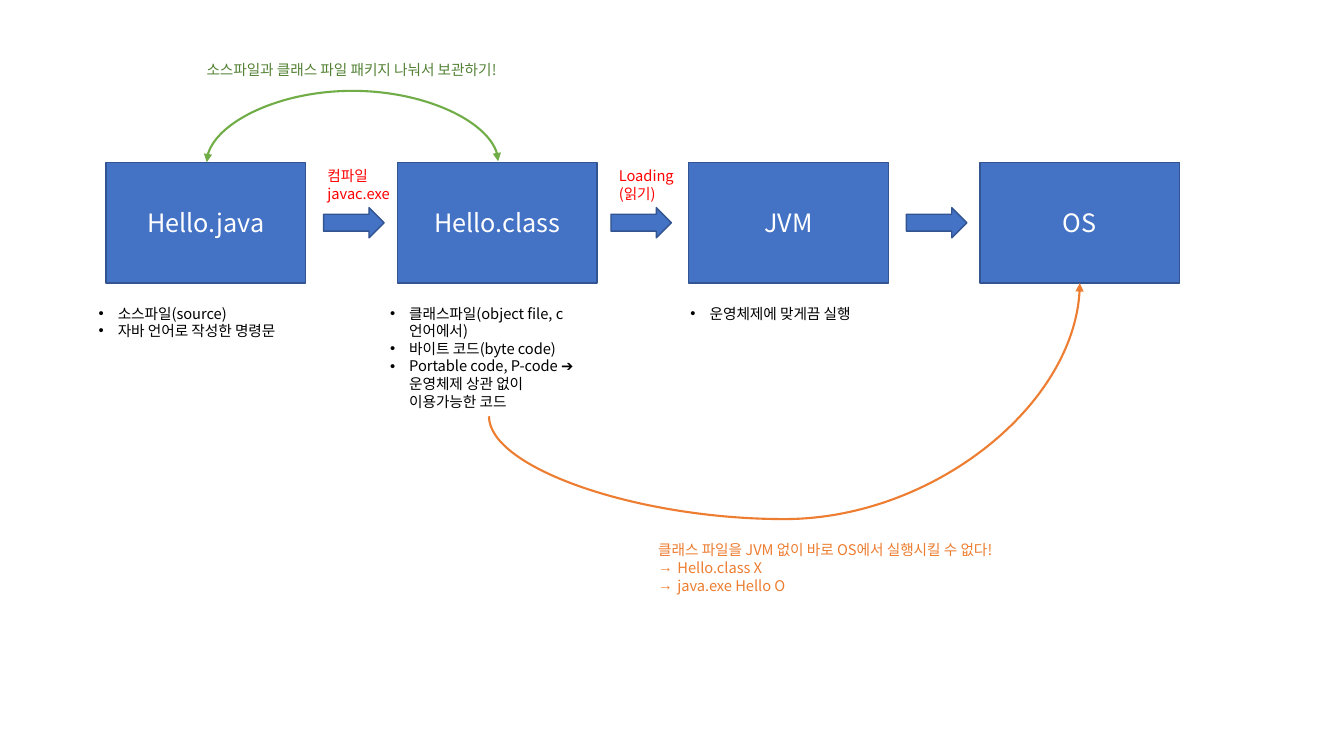
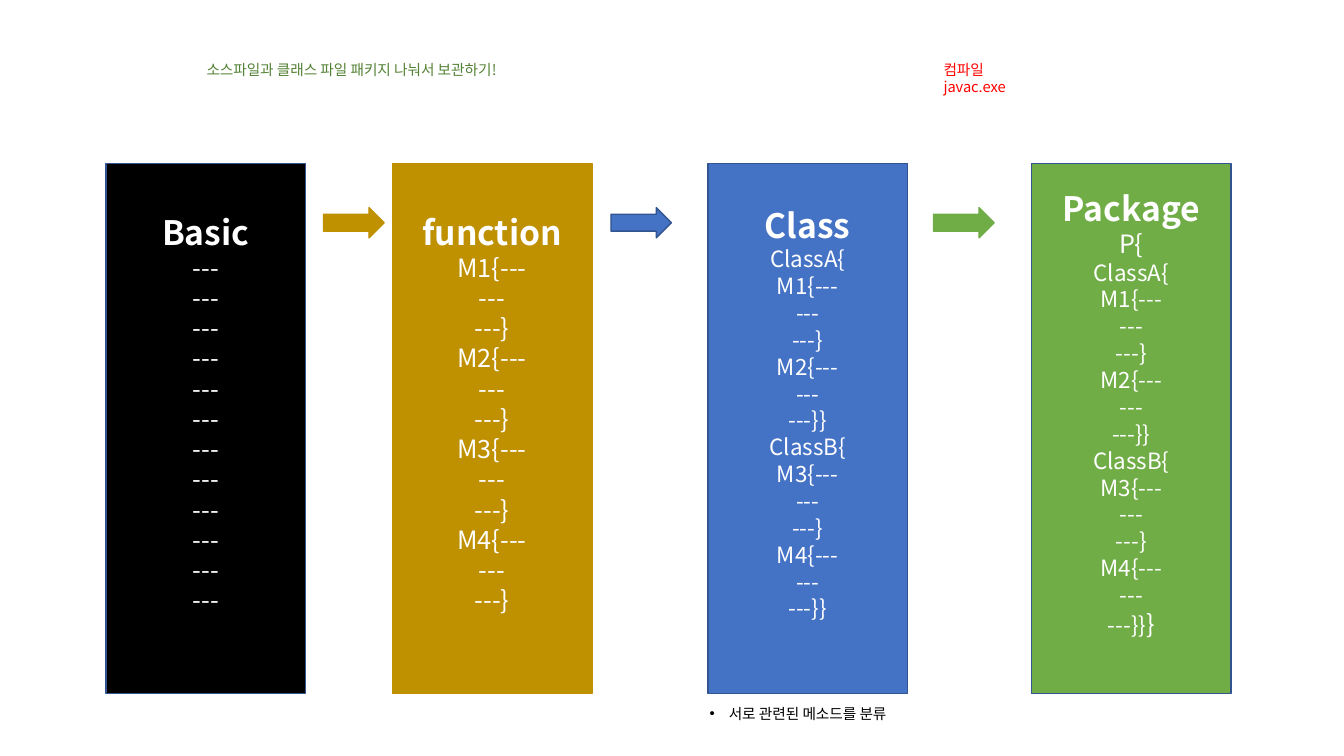
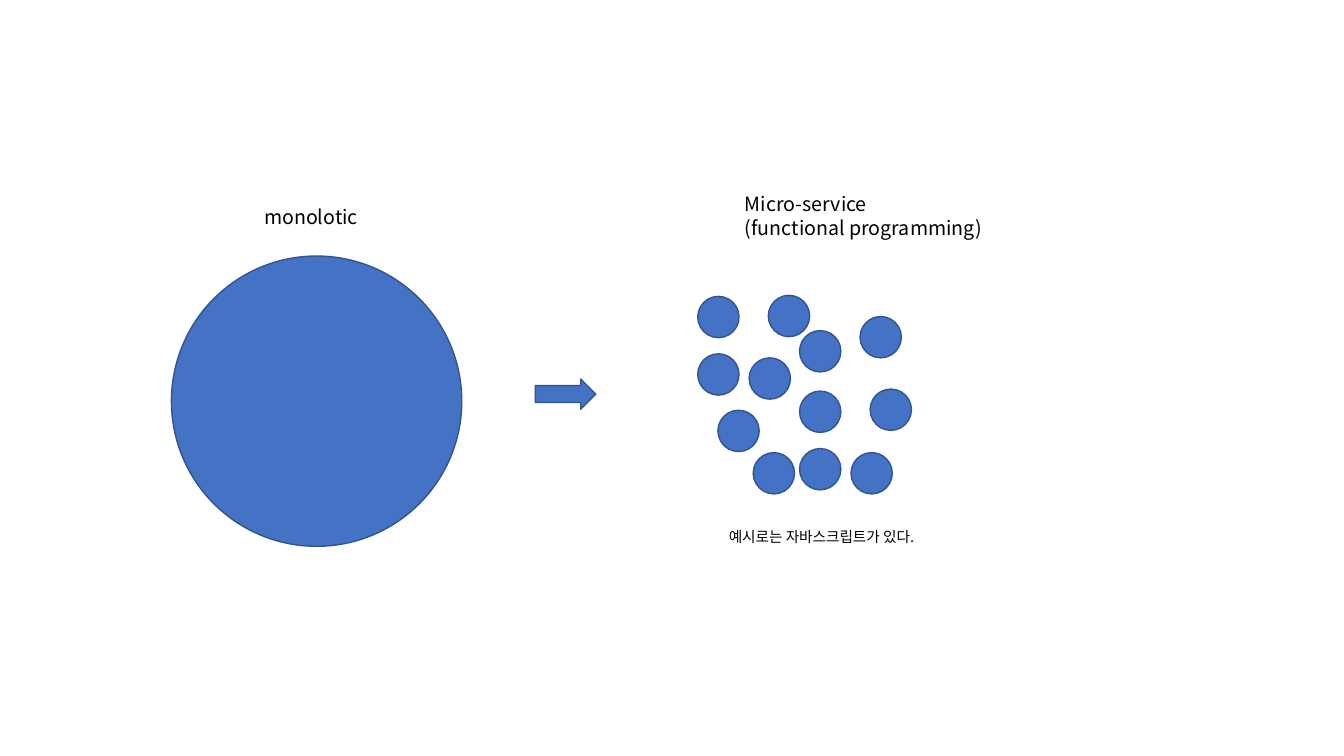
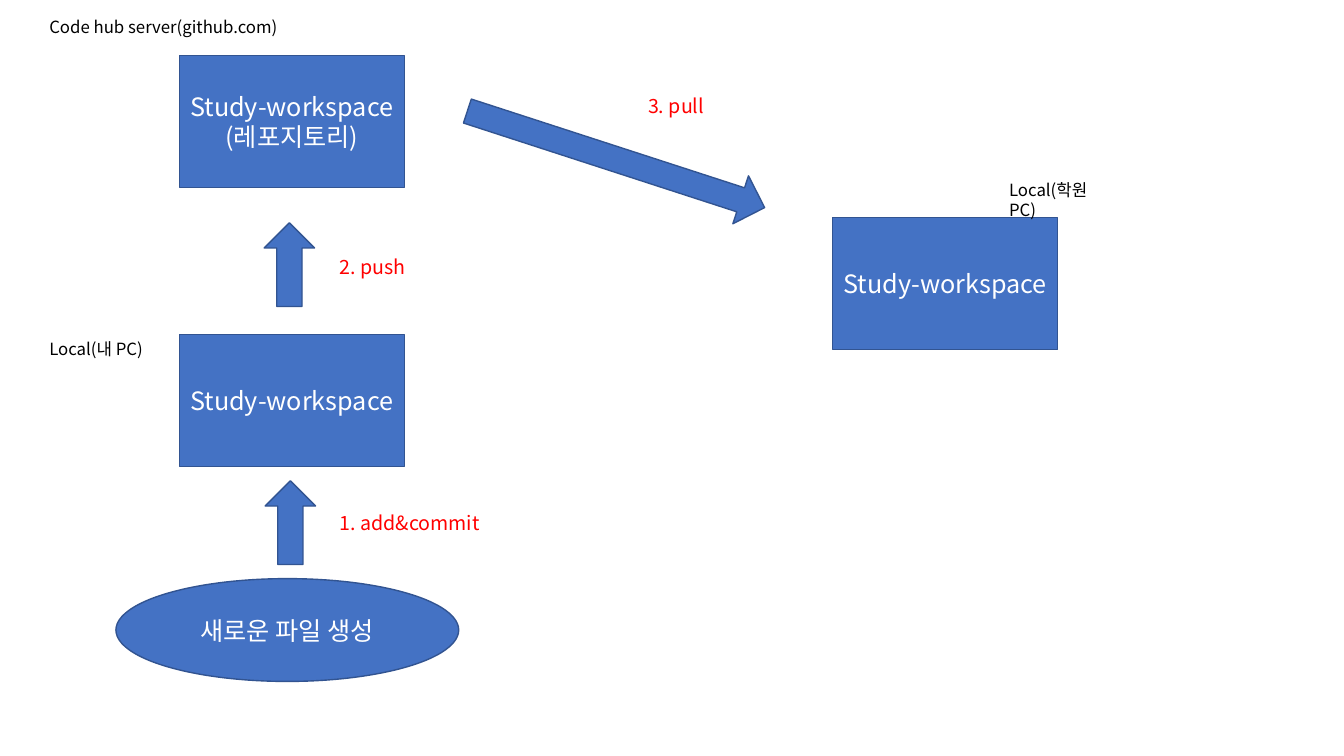
from collections import namedtuple

from lxml.etree import SubElement
from pptx import Presentation
from pptx.dml.color import RGBColor
from pptx.enum.shapes import MSO_CONNECTOR, MSO_SHAPE
from pptx.enum.text import MSO_ANCHOR, PP_ALIGN
from pptx.oxml.ns import qn
from pptx.util import Inches, Pt

COLUMNS, ROWS = 133.3, 75
CELL = 0.1
FONT = "Noto Sans CJK KR"
COLOURS = {
    "blue": "4472C4", "navy": "325491", "black": "000000", "white": "FFFFFF",
    "gold": "BF9000", "green": "70AD47", "moss": "548235", "red": "FF0000",
    "orange": "ED7D31",
}
SMALL, LABEL, NOTE, BODY, HEADING = 10.5, 12, 14, 18, 24
ARROW_COLUMNS, ARROW_ROWS = 6, 3
KEEP_APART = "소스파일과 클래스 파일 패키지 나눠서 보관하기!"
COMPILE = ["컴파일", "javac.exe"]


class Box(namedtuple("Box", "left top width height")):
    def inner(self, left, top, width, height):
        return Box(self.left + left, self.top + top, width, height)

    def lengths(self):
        return [grid(value) for value in self]


def grid(cells):
    return Inches(round(cells * CELL, 3))


def colour(name):
    return RGBColor.from_string(COLOURS[name])


def set_all(target, values):
    for name, value in values.items():
        setattr(target, name, value)


def add_span(para, text, size, ink, bold=False):
    span = para.add_run()
    span.text = text
    set_all(span.font, {"name": FONT, "size": Pt(size), "bold": bold})
    span.font.color.rgb = colour(ink)
    SubElement(span._r.get_or_add_rPr(), qn("a:ea"), typeface=FONT)


def add_bullet(para, mark):
    properties = para._p.get_or_add_pPr()
    properties.set("marL", str(Inches(0.19)))
    properties.set("indent", str(-Inches(0.19)))
    SubElement(properties, qn("a:buFont"), typeface="Arial")
    SubElement(properties, qn("a:buChar"), char=mark)


def fill_paras(frame, lines, size, ink, align=PP_ALIGN.LEFT, marks=()):
    for index, line in enumerate(lines):
        para = frame.add_paragraph() if index else frame.paragraphs[0]
        para.alignment = align
        if index < len(marks) and marks[index]:
            add_bullet(para, marks[index])
        spans = [(line, size)] if isinstance(line, str) else line
        for text, span_size in spans:
            add_span(para, text, span_size, ink, span_size == HEADING)


def add_text(page, box, lines, size=SMALL, ink="black", marks=()):
    frame = page.shapes.add_textbox(*box.lengths()).text_frame
    frame.word_wrap = True
    fill_paras(frame, lines, size, ink, marks=marks)


def add_bullets(page, box, lines):
    add_text(page, box, lines, marks=["•"] * len(lines))


def add_figure(page, kind, box, fill="blue", edge="navy", lines=(), size=BODY):
    figure = page.shapes.add_shape(kind, *box.lengths())
    figure.shadow.inherit = False
    figure.fill.solid()
    figure.fill.fore_color.rgb = colour(fill)
    figure.line.color.rgb = colour(edge)
    figure.line.width = Pt(1)
    set_all(figure.text_frame, {"word_wrap": True, "vertical_anchor": MSO_ANCHOR.MIDDLE})
    fill_paras(figure.text_frame, lines, size, "white", PP_ALIGN.CENTER)
    return figure


def add_step_arrow(page, left, top, fill="blue", edge="navy"):
    box = Box(left, top, ARROW_COLUMNS, ARROW_ROWS)
    arrow = add_figure(page, MSO_SHAPE.RIGHT_ARROW, box, fill, edge)
    arrow.adjustments[0] = 0.56


def add_curve(page, start, end, bend_row, ink, heads):
    rise, run = start[1] - end[1], end[0] - start[0]
    middle_x, middle_y = (start[0] + end[0]) / 2, (start[1] + end[1]) / 2
    corners = (middle_x + rise / 2, middle_y + run / 2,
               middle_x - rise / 2, middle_y - run / 2)
    curve = page.shapes.add_connector(MSO_CONNECTOR.CURVE, *map(grid, corners))
    curve.line.color.rgb = colour(ink)
    curve.line.width = Pt(1.5)
    properties = curve._element.spPr
    properties.find(qn("a:xfrm")).set("rot", str(90 * 60000))
    guides = properties.find(qn("a:prstGeom")).get_or_add_avLst()
    bend = round((start[1] - bend_row) / rise * 100000)
    SubElement(guides, qn("a:gd"), name="adj1", fmla=f"val {bend}")
    for head in heads:
        SubElement(properties.find(qn("a:ln")), qn(f"a:{head}"), type="triangle")
    SubElement(properties, qn("a:effectLst"))


def method(number):
    return [f"M{number}{{---", "---", "---}"]


def class_code(name, *numbers):
    lines = [line for number in numbers for line in method(number)]
    return [f"Class{name}{{", *lines[:-1], lines[-1] + "}"]


def sized(lines, size):
    return [[(line, size)] for line in lines]


def run_steps(page, box):
    pitch = 28.9
    for index, name in enumerate(["Hello.java", "Hello.class", "JVM", "OS"]):
        add_figure(page, MSO_SHAPE.RECTANGLE, box.inner(index * pitch, 0, 19.8, box.height),
                   lines=[name])
    for left in (21.6, 50.1, 79.4):
        add_step_arrow(page, box.left + left, box.top + 4.5)
    for left, lines in ((21, COMPILE), (49.9, ["Loading", "(읽기)"])):
        add_text(page, box.inner(left, 0, 9.3, 4.5), lines, ink="red")
    notes = [
        (-1.7, ["소스파일(source)", "자바 언어로 작성한 명령문"]),
        (27.2, ["클래스파일(object file, c언어에서)", "바이트 코드(byte code)",
                "Portable code, P-code ➔ 운영체제 상관 없이 이용가능한 코드"]),
        (57, ["운영체제에 맞게끔 실행"]),
    ]
    for left, lines in notes:
        add_bullets(page, box.inner(left, 13.6, 21.5, 4.5), lines)


def run_links(page, box):
    top, bottom = box.top, box.top + box.height
    add_curve(page, (box.left + 10, top), (box.left + 38.9, top - 0.1), top - 7.2,
              "green", ["headEnd", "tailEnd"])
    add_text(page, box.inner(9, -10.6, 35.2, 2.8), [KEEP_APART], ink="moss")
    add_curve(page, (box.left + 38, bottom + 13.2), (box.left + 96.6, bottom),
              bottom + 23.4, "orange", ["tailEnd"])
    add_text(page, box.inner(53.8, 37.1, 35.2, 8.1),
             ["클래스 파일을 JVM 없이 바로 OS에서 실행시킬 수 없다!",
              "Hello.class X", "java.exe Hello O"], ink="orange", marks=["", "→", "→"])


def build_execution(page):
    box = Box(10.5, 16.1, 106.5, 12)
    run_steps(page, box)
    run_links(page, box)


def code_panel(page, box, heading, code, fill, edge):
    lines = [[(heading, HEADING)], *code]
    panel = add_figure(page, MSO_SHAPE.RECTANGLE, box, fill, edge, lines)
    panel.text_frame.margin_bottom = Inches(0.35)


def build_history(page):
    box = Box(10.5, 16.2, 111.6, 52.6)
    methods = [line for number in range(1, 5) for line in method(number)]
    classes = sized(class_code("A", 1, 2) + class_code("B", 3, 4), 16)
    package_code = [[("P{", BODY)], *classes[:-1], classes[-1] + [("}", BODY)]]
    panels = [
        (0, "Basic", ["---"] * 12, "black", "navy"),
        (28.4, "function", methods, "gold", "gold"),
        (59.7, "Class", classes, "blue", "navy"),
        (91.8, "Package", package_code, "green", "navy"),
    ]
    for left, heading, code, fill, edge in panels:
        code_panel(page, box.inner(left, 0, 19.8, box.height), heading, code, fill, edge)
    for left, fill, edge in ((21.6, "gold", "gold"), (50.1, "blue", "navy"),
                             (82.1, "green", "green")):
        add_step_arrow(page, box.left + left, box.top + 4.4, fill, edge)
    add_text(page, box.inner(9, -10.7, 35.2, 2.8), [KEEP_APART], ink="moss")
    add_text(page, box.inner(82.1, -10.7, 9.3, 4.5), COMPILE, ink="red")
    add_bullets(page, box.inner(58.9, 53.2, 21.5, 2.8), ["서로 관련된 메소드를 분류"])


def whole_service(page, box):
    add_text(page, box.inner(8.2, 0, 35.2, 3.4), ["monolotic"], NOTE)
    add_figure(page, MSO_SHAPE.OVAL, box.inner(0, 5.6, 28.8, 28.8))


def small_services(page, box):
    add_text(page, box.inner(3.7, 0, 35.2, 5.7),
             ["Micro-service", "(functional programming)"], NOTE)
    spots = [(0, 10.8), (0, 16.5), (7, 10.7), (2, 22.1), (10.1, 14.2), (5.1, 16.9),
             (10.1, 20.2), (10.1, 25.9), (17.1, 20), (5.5, 26.3), (16.1, 12.8), (15.2, 26.3)]
    for left, top in spots:
        add_figure(page, MSO_SHAPE.OVAL, box.inner(left, top, 4.1, 4.1))
    add_text(page, box.inner(2.1, 33.3, 26.2, 2.8), ["예시로는 자바스크립트가 있다."])


def build_services(page):
    whole_service(page, Box(17, 19.8, 28.8, 34.4))
    add_step_arrow(page, 53.1, 37.6)
    small_services(page, Box(69.2, 18.6, 38.9, 36.1))


def workspace(page, box, lines, label, label_box):
    add_figure(page, MSO_SHAPE.RECTANGLE, box, lines=lines)
    add_text(page, box.inner(*label_box), [label], LABEL)


def action(page, box, turn, label, label_box):
    add_figure(page, MSO_SHAPE.DOWN_ARROW, box).rotation = turn
    add_text(page, box.inner(*label_box), [label], NOTE, "red")


def build_workflow(page):
    name = "Study-workspace"
    width, height = 22.3, 13.1
    workspace(page, Box(17.8, 5.5, width, height), [name, "(레포지토리)"],
              "Code hub server(github.com)", (-13.9, -4.3, 26.2, 3))
    workspace(page, Box(17.8, 33.2, width, height), [name],
              "Local(내 PC)", (-13.9, -0.1, 26.2, 3))
    workspace(page, Box(82.6, 21.6, width, height), [name],
              "Local(학원 PC)", (16.5, -4.3, 12.6, 3))
    add_figure(page, MSO_SHAPE.OVAL, Box(11.5, 57.4, 34, 10.2), lines=["새로운 파일 생성"])
    action(page, Box(26.3, 47.7, 5, 8.3), 180, "1. add&commit", (6.4, 2.5, 44.6, 3.4))
    action(page, Box(26.2, 22.1, 5, 8.3), 180, "2. push", (6.5, 2.7, 44.6, 3.4))
    action(page, Box(58.6, 0.3, 5, 31), 288, "3. pull", (4.7, 8.5, 44.6, 3.4))


def main():
    deck = Presentation()
    set_all(deck, {"slide_width": grid(COLUMNS), "slide_height": grid(ROWS)})
    blank = deck.slide_layouts[6]
    for build in (build_execution, build_history, build_services, build_workflow):
        build(deck.slides.add_slide(blank))
    deck.save("out.pptx")


if __name__ == "__main__":
    main()
